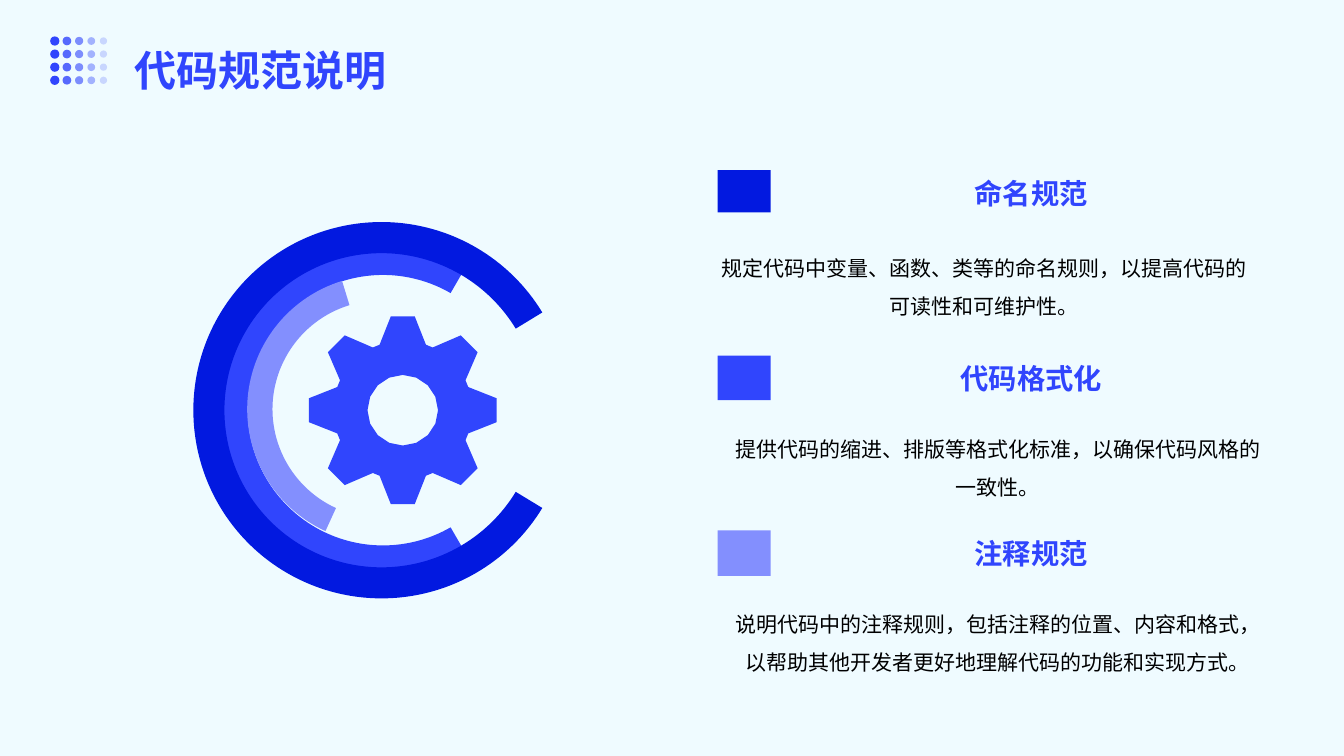
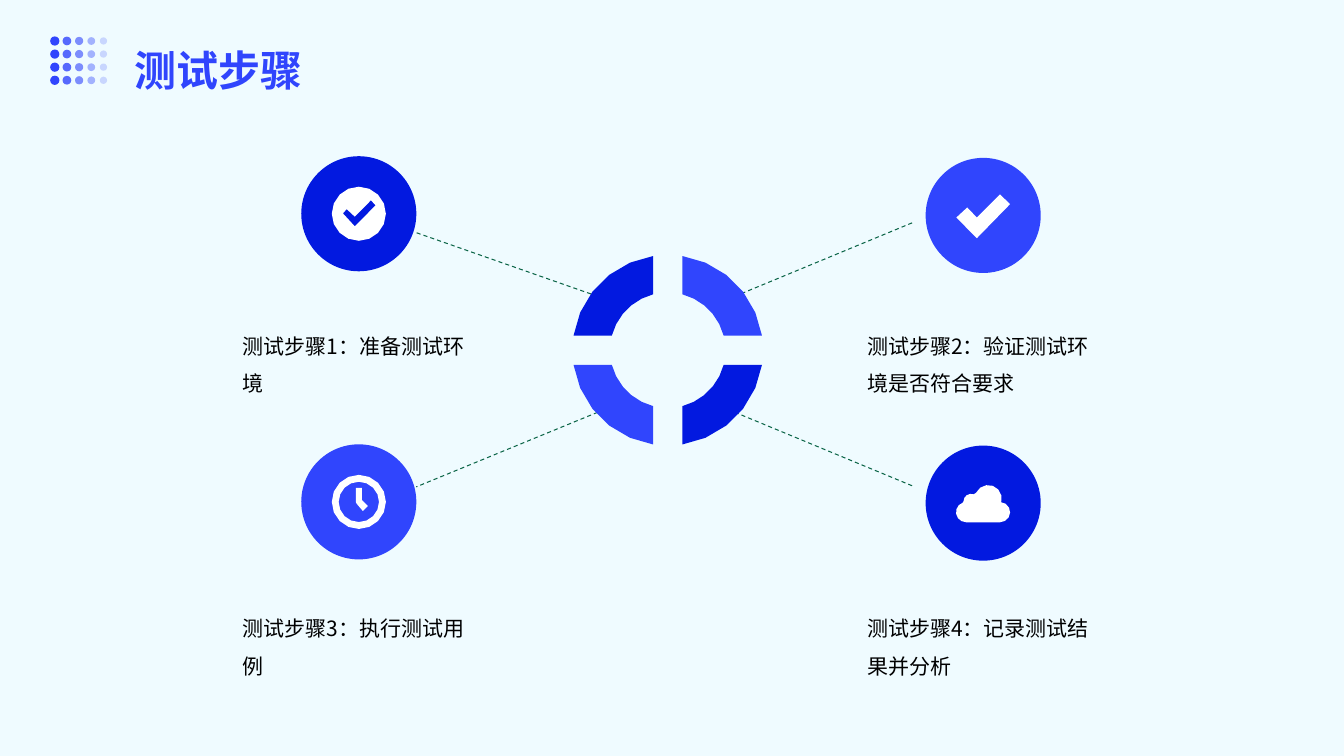
from dataclasses import dataclass
from math import asin, ceil, cos, degrees, pi, radians, sin

from lxml import etree
from pptx import Presentation
from pptx import util as u
from pptx.dml.color import RGBColor
from pptx.enum import dml, shapes, text
from pptx.oxml import ns

# The slide is a grid of 160 columns by 90 rows of square cells.
CELL = u.Inches(1) / 12
COLUMNS, ROWS = 160, 90

FONT = "Noto Sans CJK SC"
DEEP, BLUE, PALE = "0219E0", "3045FD", "838FFE"
WHITE, BLACK, SKY, GREEN = "FFFFFF", "000000", "EFFBFF", "0A6446"
TEXT_INSETS = (1.32, 0.48, 1.32, 0.48)
TITLE_INSETS = (1.6, 1.7, 0.7, 1.7)

Point = tuple[float, float]
Outline = list[Point]


@dataclass
class Arc:
    color: str
    center: Point
    outer: float
    inner: float
    start: float
    end: float


@dataclass
class Standard:
    heading: str
    detail: str
    color: str
    heading_top: float
    swatch_height: float
    detail_left: float
    detail_top: float


@dataclass
class Step:
    caption: str
    color: str
    center: Point
    caption_top: float
    quadrant: int
    line_start: Point
    line_end: Point
    icon: list[Outline]


def cells(count: float) -> u.Emu:
    return u.Emu(round(count * CELL))


def rgb(hex_color: str) -> RGBColor:
    return RGBColor.from_string(hex_color)


def paint(shape, color: str, opacity: int = 100) -> None:
    """Give a flat fill with neither outline nor shadow."""
    shape.shadow.inherit = False
    shape.line.fill.background()
    shape.fill.solid()
    shape.fill.fore_color.rgb = rgb(color)
    if opacity < 100:
        value = shape.fill._xPr.find(".//" + ns.qn("a:srgbClr"))
        etree.SubElement(value, ns.qn("a:alpha"), val=str(opacity * 1000))


def write(box, wording: str, *, size: float = 15, color: str = BLACK, bold: bool = False,
          align=text.PP_ALIGN.LEFT, anchor=text.MSO_ANCHOR.MIDDLE,
          spacing: float = 1.5, insets=TEXT_INSETS) -> None:
    frame = box.text_frame
    frame.word_wrap = True
    frame.auto_size = text.MSO_AUTO_SIZE.NONE
    frame.vertical_anchor = anchor
    (frame.margin_left, frame.margin_top,
     frame.margin_right, frame.margin_bottom) = map(cells, insets)
    para = frame.paragraphs[0]
    para.alignment, para.line_spacing = align, spacing
    span = para.add_run()
    span.text = wording
    span.font.size, span.font.bold, span.font.name = u.Pt(size), bold, FONT
    span.font.color.rgb = rgb(color)
    etree.SubElement(span._r.get_or_add_rPr(), ns.qn("a:ea"), typeface=FONT)


def add_text(page, wording: str, left: float, top: float, width: float, height: float,
             **style) -> None:
    box = page.shapes.add_textbox(*map(cells, (left, top, width, height)))
    write(box, wording, **style)


def add_block(page, kind, left: float, top: float, width: float, height: float,
              color: str, opacity: int = 100):
    block = page.shapes.add_shape(kind, *map(cells, (left, top, width, height)))
    paint(block, color, opacity)
    return block


def add_round(page, center: Point, radius: float, color: str, opacity: int = 100,
              kind=shapes.MSO_SHAPE.OVAL):
    return add_block(page, kind, center[0] - radius, center[1] - radius,
                     2 * radius, 2 * radius, color, opacity)


def add_arc(page, part: Arc) -> None:
    block = add_round(page, part.center, part.outer, part.color,
                      kind=shapes.MSO_SHAPE.BLOCK_ARC)
    # Angles run clockwise and count 0.6 per degree.
    block.adjustments[0] = (360 - part.end) * 0.6
    block.adjustments[1] = (360 - part.start) * 0.6
    block.adjustments[2] = (part.outer - part.inner) / (2 * part.outer)


def curve(center: Point, radius: float, start: float, end: float,
          stride: float = 15) -> Outline:
    """Points along a circle; degrees run counterclockwise from the right."""
    parts = ceil(abs(end - start) / stride)
    angles = [radians(start + (end - start) * part / parts) for part in range(parts + 1)]
    return [(center[0] + radius * cos(angle), center[1] - radius * sin(angle))
            for angle in angles]


def circle(radius: float) -> Outline:
    return curve((0, 0), radius, 0, 360, stride=22.5)[:-1]


def quarter_ring(outer: float, inner: float, start: float, margin: float) -> Outline:
    """Quarter of a ring whose straight ends lie a margin inside the axes."""
    outer_cut, inner_cut = (degrees(asin(margin / radius)) for radius in (outer, inner))
    end = start + 90
    return (curve((0, 0), outer, start + outer_cut, end - outer_cut)
            + curve((0, 0), inner, end - inner_cut, start + inner_cut))


def gear(teeth: int = 8) -> Outline:
    tooth = [(7.8, 2.76), (11.18, 1.42), (11.18, -1.42), (7.8, -2.76)]
    turns = [-2 * pi * index / teeth for index in range(teeth)]
    return [(x * cos(turn) - y * sin(turn), x * sin(turn) + y * cos(turn))
            for turn in turns for x, y in tooth]


def add_outlines(page, center: Point, outlines: list[Outline], color: str) -> None:
    """Draw outlines, given around a centre, as one shape; inner ones cut holes."""
    placed = [[(cells(center[0] + x), cells(center[1] + y)) for x, y in outline]
              for outline in outlines]
    builder = page.shapes.build_freeform(*placed[0][0], scale=1.0)
    for index, outline in enumerate(placed):
        if index:
            builder.move_to(*outline[0])
        builder.add_line_segments(outline[1:], close=True)
    paint(builder.convert_to_shape(), color)


def add_dashed_line(page, start: Point, end: Point) -> None:
    line = page.shapes.add_connector(shapes.MSO_CONNECTOR.STRAIGHT,
                                     *map(cells, (*start, *end)))
    line.line.color.rgb = rgb(GREEN)
    line.line.width = u.Pt(0.75)
    line.line.dash_style = dml.MSO_LINE.DASH
    etree.SubElement(line._element.spPr, ns.qn("a:effectLst"))


def add_page(deck, title: str):
    """Add a page with the shared title and the fading grid of dots."""
    page = deck.slides.add_slide(deck.slide_layouts.get_by_name("Title Only"))
    box = page.shapes.title
    box.left, box.top, box.width, box.height = map(cells, (14.4, 1.2, 131.28, 12))
    write(box, title, size=30, color=BLUE, bold=True, anchor=text.MSO_ANCHOR.TOP,
          spacing=1.4, insets=TITLE_INSETS)
    for row in range(4):
        for column in range(5):
            center = (6.52 + 1.45 * column, 4.88 + 1.56 * row)
            add_round(page, center, 0.55 - 0.03 * column, BLUE, 100 - 20 * column)
    return page


ARCS = [
    Arc(BLUE, (45.6, 48.84), 19.2, 16.1, 60, 300),
    Arc(PALE, (45.4, 48.72), 15.96, 12.95, 107, 245.4),
    Arc(DEEP, (45.42, 48.84), 22.4, 18.7, 31.3, 328.7),
]

STANDARDS = [
    Standard("命名规范", "规定代码中变量、函数、类等的命名规则，以提高代码的可读性和可维护性。",
             DEEP, 19.3, 5.04, 83.76, 26.45),
    Standard("代码格式化", "提供代码的缩进、排版等格式化标准，以确保代码风格的一致性。",
             BLUE, 41.4, 5.28, 85.44, 47.95),
    Standard("注释规范",
             "说明代码中的注释规则，包括注释的位置、内容和格式，以帮助其他开发者更好地理解代码的功能和实现方式。",
             PALE, 62.2, 5.4, 85.44, 68.75),
]

SMALL_CHECK = [(-0.48, 1.5), (-1.9, -0.05), (-1.44, -0.55), (-0.48, 0.35),
               (1.44, -1.6), (2, -1)]
LARGE_CHECK = [(-1.9, -0.95), (-3.2, 0.25), (-0.75, 2.7), (3.2, -1.35),
               (2, -2.5), (-0.75, 0.25)]
CLOCK_HANDS = [(1.08, 0.48), (0.36, -0.24), (0.36, -1.68), (-0.36, -1.68),
               (-0.36, 0), (-0.24, 0.24), (0.48, 1.08)]
CLOUD = (curve((2, 1.08), 1.2, -90, 85, 30) + curve((0.6, -0.55), 1.6, -15, 155, 30)
         + curve((-1.45, -0.2), 0.9, 70, 180, 30) + curve((-2.04, 1.08), 1.2, 110, 270, 30))

STEPS = [
    Step("测试步骤1：准备测试环境", DEEP, (42.72, 25.45), 34.85, 1,
         (71.16, 35.28), (49.56, 27.7), [circle(3.22), SMALL_CHECK]),
    Step("测试步骤2：验证测试环境是否符合要求", BLUE, (117.05, 25.65), 34.85, 0,
         (87.48, 35.28), (108.9, 26.4), [LARGE_CHECK]),
    Step("测试步骤3：执行测试用例", BLUE, (42.72, 59.75), 68.5, 2,
         (71.16, 49.08), (49.56, 57.96), [circle(3.22), circle(2.4), CLOCK_HANDS]),
    Step("测试步骤4：记录测试结果并分析", DEEP, (117.05, 59.9), 68.5, 3,
         (87.48, 49.08), (108.9, 57.96), [CLOUD]),
]


def add_standards_page(deck) -> None:
    page = add_page(deck, "代码规范说明")
    for part in ARCS:
        add_arc(page, part)
    add_outlines(page, (47.95, 48.84), [gear(), circle(4.2)], BLUE)
    centered = text.PP_ALIGN.CENTER
    for item in STANDARDS:
        add_block(page, shapes.MSO_SHAPE.RECTANGLE, 85.44, item.heading_top + 0.95,
                  6.3, item.swatch_height, item.color)
        add_text(page, item.heading, 93.36, item.heading_top, 58.8, 6.48,
                 size=20.2, color=BLUE, bold=True, align=centered, spacing=1.2)
        add_text(page, item.detail, item.detail_left, item.detail_top, 66.72, 14.04,
                 align=centered)


def add_steps_page(deck) -> None:
    page = add_page(deck, "测试步骤")
    for step in STEPS:
        add_dashed_line(page, step.line_start, step.line_end)
        quarter = quarter_ring(11.35, 6.88, 90 * step.quadrant, margin=1.74)
        add_outlines(page, (79.5, 41.7), [quarter], step.color)
        add_round(page, step.center, 6.85, step.color)
        add_outlines(page, step.center, step.icon, WHITE)
        add_text(page, step.caption, step.center[0] - 15.12, step.caption_top, 30.6, 15.6)


def main() -> None:
    deck = Presentation()
    deck.slide_width, deck.slide_height = cells(COLUMNS), cells(ROWS)
    backdrop = deck.slide_master.background.fill
    backdrop.solid()
    backdrop.fore_color.rgb = rgb(SKY)
    add_standards_page(deck)
    add_steps_page(deck)
    deck.save("out.pptx")


if __name__ == "__main__":
    main()
